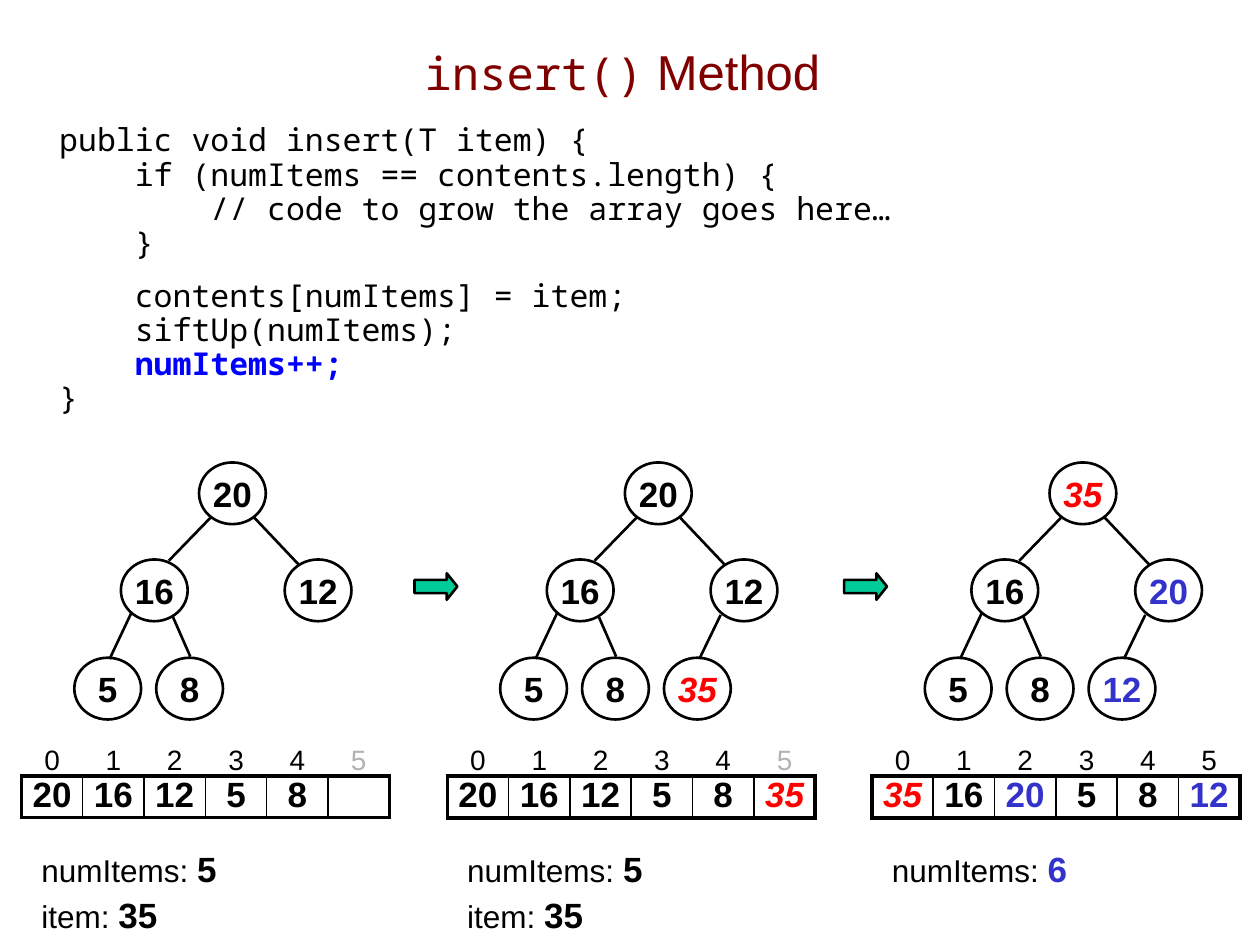
from lxml import etree
from pptx import Presentation
from pptx.dml.color import RGBColor
from pptx.enum.shapes import MSO_CONNECTOR, MSO_SHAPE
from pptx.enum.text import MSO_ANCHOR, PP_ALIGN
from pptx.oxml.ns import qn
from pptx.util import Inches, Pt

CENTER = PP_ALIGN.CENTER
MIDDLE, BOTTOM, TOP = MSO_ANCHOR.MIDDLE, MSO_ANCHOR.BOTTOM, MSO_ANCHOR.TOP
OVAL, RIGHT_ARROW = MSO_SHAPE.OVAL, MSO_SHAPE.RIGHT_ARROW
STRAIGHT = MSO_CONNECTOR.STRAIGHT

SANS, MONO = "Arial", "Noto Sans Mono"
BLACK, MAROON, GRAY = "000000", "800000", "B2B2B2"
RED, INDIGO, BLUE, GREEN = "FF0000", "3333CC", "0000FF", "00CC99"

NODE_W, NODE_H = 0.53, 0.49
ARRAY_W, SLOT_COUNT = 2.92, 6
CODE_INDENT = 0.6
# Places in heap order, measured from the left edge of each heap's array
NODES = [(1.41, 3.67), (0.79, 4.44), (2.09, 4.44),
         (0.42, 5.22), (1.07, 5.22), (1.72, 5.22)]
# Branch from the parent to each node after the root
BRANCHES = [(1.50, 4.11, 1.17, 4.45), (1.84, 4.10, 2.20, 4.48),
            (0.87, 4.87, 0.70, 5.23), (1.20, 4.89, 1.34, 5.21),
            (2.17, 4.88, 2.00, 5.23)]

CODE = [(0, "public void insert(T item) {"),
        (1, "if (numItems == contents.length) {"),
        (2, "// code to grow the array goes here…"),
        (1, "}"),
        (1, "contents[numItems] = item;"),
        (1, "siftUp(numItems);"),
        (1, "numItems++;"),
        (0, "}")]
AFTER_GAP, HIGHLIGHTED = 4, 6

# left edge, values in heap order, colours by slot, counters, index colour of last slot
STAGES = [
    (0.17, [20, 16, 12, 5, 8], {},
     [("numItems: ", "5", BLACK), ("item: ", "35", BLACK)], GRAY),
    (3.55, [20, 16, 12, 5, 8, 35], {5: RED},
     [("numItems: ", "5", BLACK), ("item: ", "35", BLACK)], GRAY),
    (6.92, [35, 16, 20, 5, 8, 12], {0: RED, 2: INDIGO, 5: INDIGO},
     [("numItems: ", "6", INDIGO)], BLACK),
]


def rgb(color):
    return RGBColor.from_string(color)


def add_run(paragraph, text, size, color=BLACK, font=SANS, bold=False, italic=False):
    run = paragraph.add_run()
    run.text = text
    run.font.name, run.font.size = font, Pt(size)
    run.font.bold, run.font.italic = bold, italic
    run.font.color.rgb = rgb(color)


def add_key(paragraph, value, color):
    """Write a heap value; the newly inserted one is red and italic."""
    paragraph.alignment = CENTER
    add_run(paragraph, str(value), 20, color, bold=True, italic=color == RED)


def place(shape, left, top, width, height):
    shape.left, shape.top = Inches(left), Inches(top)
    shape.width, shape.height = Inches(width), Inches(height)


def outline(shape):
    shape.line.color.rgb = rgb(BLACK)
    shape.line.width = Pt(1.5)


def write_title(title):
    place(title, 0.64, 0.1, 8.6, 0.93)
    title.text_frame.vertical_anchor = MIDDLE
    heading = title.text_frame.paragraphs[0]
    heading.alignment = CENTER
    add_run(heading, "insert()", 26, MAROON, MONO)
    add_run(heading, " Method", 28, MAROON)


def write_code(body):
    place(body, 0.37, 0.94, 9.63, 6.14)
    frame = body.text_frame
    for number, (depth, code) in enumerate(CODE):
        line = frame.add_paragraph() if number else frame.paragraphs[0]
        line.line_spacing = 0.9
        line.space_before = Pt(11 if number == AFTER_GAP else 0)
        properties = line._p.get_or_add_pPr()
        properties.set("marL", str(Inches(CODE_INDENT * depth)))
        properties.set("indent", "0")
        etree.SubElement(properties, qn("a:buNone"))
        marked = number == HIGHLIGHTED
        add_run(line, code, 18, BLUE if marked else BLACK, MONO, bold=marked)


def add_node(shapes, left, top, value, color):
    node = shapes.add_shape(OVAL, Inches(left), Inches(top),
                            Inches(NODE_W), Inches(NODE_H))
    node.shadow.inherit = False
    node.fill.background()
    outline(node)
    frame = node.text_frame
    frame.margin_left = frame.margin_right = frame.margin_top = frame.margin_bottom = 0
    frame.vertical_anchor = MIDDLE
    frame.word_wrap = False
    add_key(frame.paragraphs[0], value, color)


def add_branch(shapes, left, x1, y1, x2, y2):
    branch = shapes.add_connector(STRAIGHT, Inches(left + x1), Inches(y1),
                                  Inches(left + x2), Inches(y2))
    outline(branch)
    etree.SubElement(branch._element.spPr, qn("a:effectLst"))


def add_tree(shapes, left, values, colors):
    for branch in BRANCHES[:len(values) - 1]:
        add_branch(shapes, left, *branch)
    for slot, (value, (x, y)) in enumerate(zip(values, NODES)):
        add_node(shapes, left + x, y, value, colors.get(slot, BLACK))


def set_cell(cell, anchor, margins, borders):
    """Clear the fill; borders maps a side (L, R, T, B) to its width in points."""
    cell.vertical_anchor = anchor
    cell.margin_left, cell.margin_top, cell.margin_right, cell.margin_bottom = (
        Inches(margin) for margin in margins)
    properties = cell._tc.get_or_add_tcPr()
    for side in "LRTB":
        if side in borders:
            edge = etree.SubElement(properties, qn("a:ln" + side),
                                    w=str(Pt(borders[side])))
            fill = etree.SubElement(edge, qn("a:solidFill"))
            etree.SubElement(fill, qn("a:srgbClr"), val=BLACK)
        else:
            edge = etree.SubElement(properties, qn("a:ln" + side), w="0")
            etree.SubElement(edge, qn("a:noFill"))
    cell.fill.background()


def add_array(shapes, left, values, colors, last_index_color):
    array = shapes.add_table(2, SLOT_COUNT, Inches(left), Inches(5.84),
                             Inches(ARRAY_W), Inches(0.65)).table
    array.first_row = array.horz_banding = False
    array.rows[0].height, array.rows[1].height = Inches(0.32), Inches(0.33)
    last = SLOT_COUNT - 1
    for slot in range(SLOT_COUNT):
        index_cell, value_cell = array.cell(0, slot), array.cell(1, slot)
        set_cell(index_cell, BOTTOM, (0.1, 0.05, 0.1, 0), {"B": 2.25})
        set_cell(value_cell, TOP, (0, 0, 0, 0),
                 {"L": 1 if slot else 2.25, "R": 1 if slot < last else 2.25,
                  "T": 2.25, "B": 2.25})
        index = index_cell.text_frame.paragraphs[0]
        index.alignment = CENTER
        add_run(index, str(slot), 16, last_index_color if slot == last else BLACK)
        if slot < len(values):
            add_key(value_cell.text_frame.paragraphs[0], values[slot],
                    colors.get(slot, BLACK))


def add_counters(shapes, left, counters):
    box = shapes.add_textbox(Inches(left), Inches(6.68), Inches(1.8), Inches(0.77))
    frame = box.text_frame
    frame.word_wrap = True
    for number, (label, value, color) in enumerate(counters):
        line = frame.add_paragraph() if number else frame.paragraphs[0]
        line.space_before = Pt(2 if number else 0)
        add_run(line, label, 18)
        add_run(line, value, 20, color, bold=True)


def add_step_arrow(shapes, left):
    arrow = shapes.add_shape(RIGHT_ARROW, Inches(left), Inches(4.55),
                             Inches(0.34), Inches(0.21))
    arrow.shadow.inherit = False
    arrow.adjustments[0], arrow.adjustments[1] = 0.5, 0.4
    arrow.fill.solid()
    arrow.fill.fore_color.rgb = rgb(GREEN)
    outline(arrow)


def main():
    deck = Presentation()
    deck.slide_width, deck.slide_height = Inches(10), Inches(7.5)
    slide = deck.slides.add_slide(deck.slide_layouts[1])
    title, body = slide.placeholders
    write_title(title)
    write_code(body)
    for left, values, colors, counters, last_index_color in STAGES:
        add_array(slide.shapes, left, values, colors, last_index_color)
        add_counters(slide.shapes, left + 0.06, counters)
        add_tree(slide.shapes, left, values, colors)
    for left in (3.29, 6.7):
        add_step_arrow(slide.shapes, left)
    deck.save("out.pptx")


if __name__ == "__main__":
    main()
